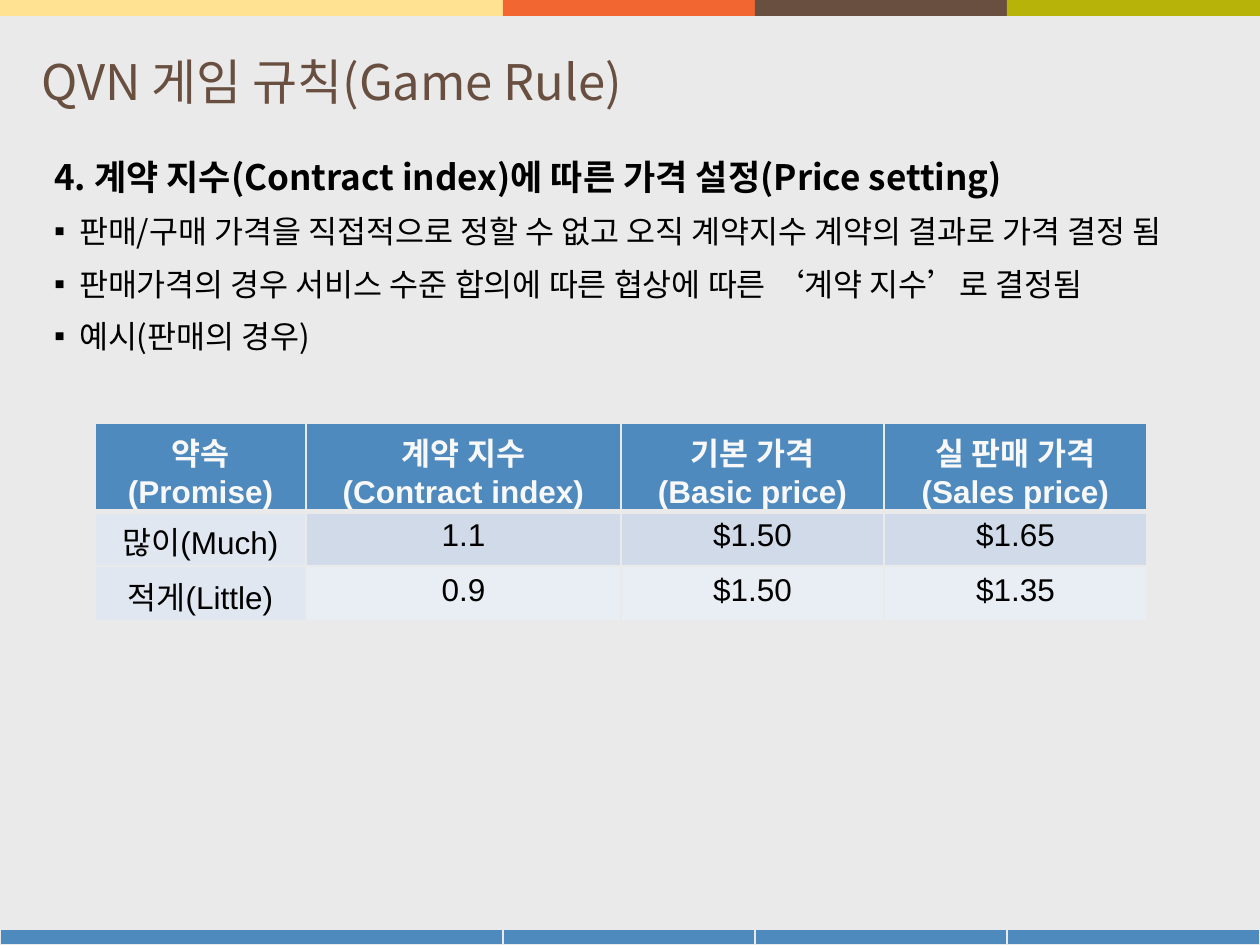
from lxml import etree
from pptx import Presentation
from pptx.dml.color import RGBColor
from pptx.enum.shapes import MSO_SHAPE
from pptx.enum.text import MSO_ANCHOR, PP_ALIGN
from pptx.oxml.ns import qn
from pptx.util import Pt

PX = 914400 / 126
RECT = MSO_SHAPE.RECTANGLE
MIDDLE = MSO_ANCHOR.MIDDLE
CENTER = PP_ALIGN.CENTER
KOREAN = "Noto Sans CJK KR"
BACKGROUND, BLUE, BROWN = "EAEAEA", "4E8ABE", "684F40"


def px(*lengths):
    return [round(n * PX) for n in lengths]


def style(p, size, color, bold=False, latin=KOREAN):
    for r in p.runs:
        r.font.size, r.font.bold, r.font.name = Pt(size), bold, latin
        r.font.color.rgb = RGBColor.from_string(color)
        etree.SubElement(r.font._element, qn("a:ea"), typeface=KOREAN)


prs = Presentation()
prs.slide_width, prs.slide_height = px(1260, 945)
s = prs.slides.add_slide(prs.slide_layouts[6])
s.background.fill.solid()
s.background.fill.fore_color.rgb = RGBColor.from_string(BACKGROUND)

# Bars along the bottom and top edges
edges = [0, 503, 755, 1007, 1260]
top_colors = ["FFE292", "F26631", BROWN, "B8B308"]
for y, colors in ((929, [BLUE] * 4), (0, top_colors)):
    for left, right, color in zip(edges, edges[1:], colors):
        sp = s.shapes.add_shape(RECT, *px(left, y, right - left, 16))
        sp.shadow.inherit = False
        sp.fill.solid()
        sp.fill.fore_color.rgb = RGBColor.from_string(color)
        if y:
            sp.line.color.rgb = RGBColor.from_string(BACKGROUND)
            sp.line.width = Pt(0.75)
        else:
            sp.line.fill.background()

# Title
tf = s.shapes.add_textbox(*px(29, 2, 1134, 158)).text_frame
tf.word_wrap = True
tf.vertical_anchor = MIDDLE
tf.text = "QVN 게임 규칙(Game Rule)"
style(tf.paragraphs[0], 28, BROWN)

# Heading and bullets
lines = [
    "4. 계약 지수(Contract index)에 따른 가격 설정(Price setting)",
    "판매/구매 가격을 직접적으로 정할 수 없고 오직 계약지수 계약의 결과로 가격 결정 됨",
    "판매가격의 경우 서비스 수준 합의에 따른 협상에 따른 ‘계약 지수’로 결정됨",
    "예시(판매의 경우)",
]
tf = s.shapes.add_textbox(*px(54, 145, 1230, 212)).text_frame
tf.word_wrap = True
tf.margin_left = tf.margin_right = tf.margin_top = tf.margin_bottom = 0
tf.text = "\n".join(lines)
indent, = px(25)
for i, p in enumerate(tf.paragraphs):
    p.line_spacing = Pt(30)
    pPr = p._p.get_or_add_pPr()
    pPr.set("marL", str(indent))
    pPr.set("indent", str(-indent))
    if i == 0:
        style(p, 20, "000000", bold=True)
    else:
        etree.SubElement(pPr, qn("a:buFont"), typeface="Arial")
        etree.SubElement(pPr, qn("a:buChar"), char="▪")
        style(p, 18, "000000")

# Price table
rows = [
    ["약속\n(Promise)", "계약 지수\n(Contract index)", "기본 가격\n(Basic price)", "실 판매 가격\n(Sales price)"],
    ["많이(Much)", "1.1", "$1.50", "$1.65"],
    ["적게(Little)", "0.9", "$1.50", "$1.35"],
]
row_fills = [BLUE, "D0DAE8", "E9EDF4"]
widths, heights = px(211, 315, 263, 263), px(87, 55, 55)
table = s.shapes.add_table(3, 4, *px(95, 423, 1052, 197)).table
for column, width in zip(table.columns, widths):
    column.width = width
for i, values in enumerate(rows):
    table.rows[i].height = heights[i]
    for j, value in enumerate(values):
        cell = table.cell(i, j)
        cell.text_frame.text = value
        for p in cell.text_frame.paragraphs:
            p.alignment = CENTER
            style(p, 18, "000000" if i else "F8F8F8", bold=i == 0, latin="Arial")
        tcPr = cell._tc.get_or_add_tcPr()
        for side in "LRTB":
            thick = (i, side) in ((0, "B"), (1, "T"))
            ln = etree.SubElement(tcPr, qn("a:ln" + side), w=str(Pt(3 if thick else 1)))
            fill = etree.SubElement(ln, qn("a:solidFill"))
            etree.SubElement(fill, qn("a:srgbClr"), val=BACKGROUND)
        cell.fill.solid()
        color = "E0E7F1" if i and j == 0 else row_fills[i]
        cell.fill.fore_color.rgb = RGBColor.from_string(color)

prs.save("out.pptx")
